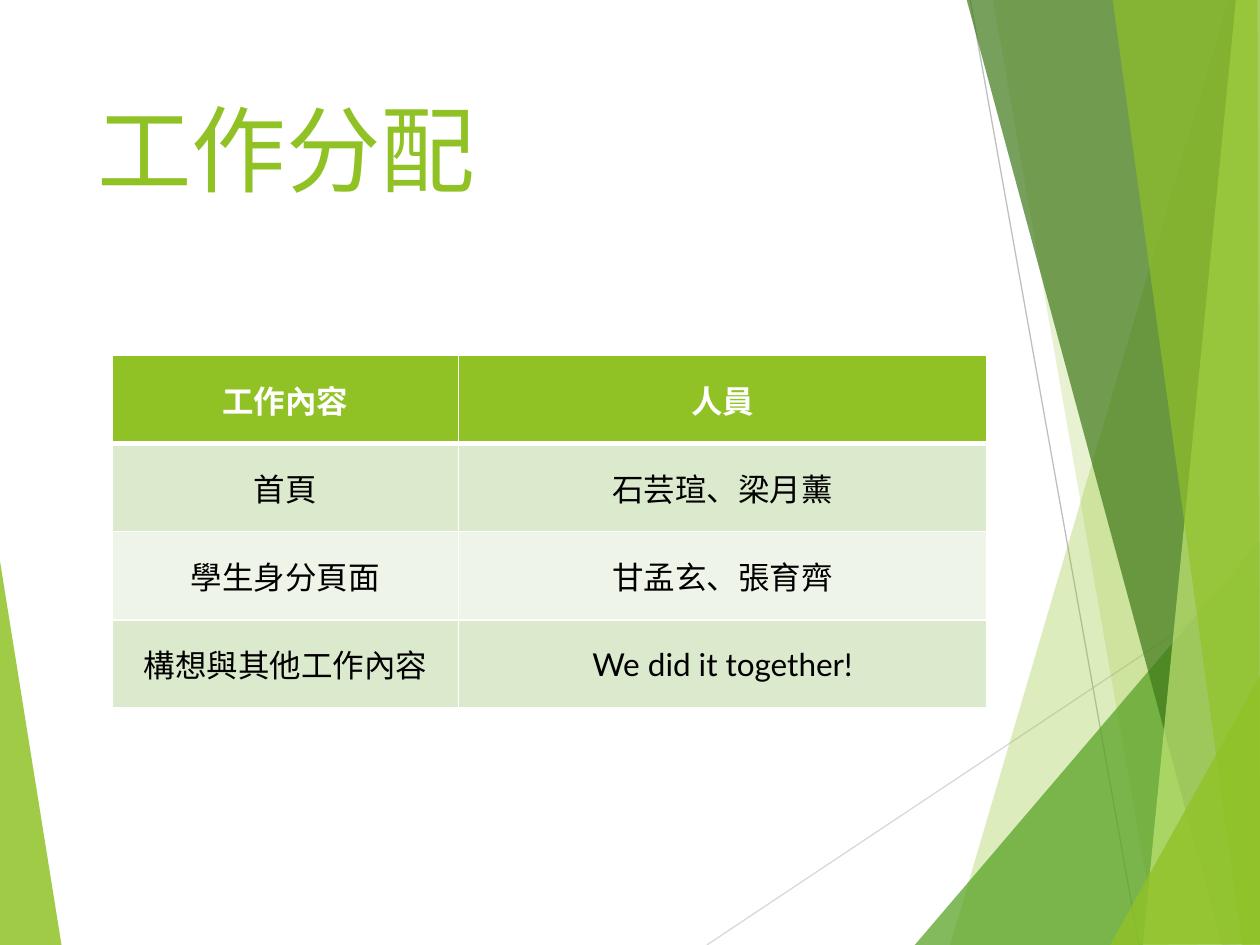
from dataclasses import dataclass

from lxml import etree
from pptx import Presentation
from pptx.dml.color import RGBColor
from pptx.enum import shapes, text
from pptx.oxml.ns import qn
from pptx.util import Inches, Pt

COLORS = {
    "green": "90C226", "leaf": "54A021", "forest": "3F7819", "lime": "C0E474",
    "band": "DBE9CD", "pale": "EEF4E8", "white": "FFFFFF", "black": "000000",
    "light_gray": "D9D9D9", "gray": "BFBFBF",
}
FONT = "Lato"


@dataclass
class Facet:
    color: str
    opacity: int  # percent
    points: list[tuple[float, float]]


@dataclass
class Ray:
    color: str
    start: tuple[float, float]
    end: tuple[float, float]


DECORATION = [
    Facet("green", 85, [(-0.01, 4.39), (0.49, 7.51), (-0.01, 7.5)]),
    Ray("light_gray", (5.61, 7.5), (10.01, 4.57)),
    Ray("gray", (7.7, 0), (9.04, 7.5)),
    Facet("green", 30, [(9.75, 0), (7.54, 7.5), (10.02, 7.51), (10.01, 0.01)]),
    Facet("green", 20, [(7.88, -0.01), (9.19, 7.5), (10.01, 7.5), (10.01, -0.01)]),
    Facet("leaf", 72, [(7.26, 7.5), (10, 4.29), (10.01, 7.5)]),
    Facet("forest", 70, [(7.67, -0.01), (9.7, 7.5), (10.01, 7.49), (10.01, -0.01)]),
    Facet("lime", 70, [(9.81, -0.01), (9.07, 7.5), (10.01, 7.5), (10, -0.01)]),
    Facet("green", 65, [(8.83, -0.01), (9.86, 7.5), (10, 7.5), (9.98, -0.01)]),
    Facet("green", 80, [(8.81, 7.5), (10.01, 5.35), (10.01, 7.49)]),
]
ROWS = [
    ("工作內容", "人員"),
    ("首頁", "石芸瑄、梁月薰"),
    ("學生身分頁面", "甘孟玄、張育齊"),
    ("構想與其他工作內容", "We did it together!"),
]
COL_WIDTHS = (2.75, 4.19)
ROW_HEIGHT = 0.7


def rgb(name: str) -> RGBColor:
    return RGBColor.from_string(COLORS[name])


def format_paragraph(p, size: int, color: str, bold: bool, align) -> None:
    p.alignment = align
    for name, value in {"name": FONT, "size": Pt(size), "bold": bold}.items():
        setattr(p.runs[0].font, name, value)
    p.runs[0].font.color.rgb = rgb(color)


def draw_facet(slide, facet: Facet) -> None:
    first, *rest = [(Inches(x), Inches(y)) for x, y in facet.points]
    builder = slide.shapes.build_freeform(*first)
    builder.add_line_segments(rest, close=True)
    sp = builder.convert_to_shape()
    sp.shadow.inherit = False
    sp.line.fill.background()
    sp.fill.solid()
    sp.fill.fore_color.rgb = rgb(facet.color)
    clr = sp.fill._xPr.find(qn("a:solidFill"))[0]
    etree.SubElement(clr, qn("a:alpha"), val=str(facet.opacity * 1000))


def draw_ray(slide, ray: Ray) -> None:
    ends = [Inches(v) for v in ray.start + ray.end]
    line = slide.shapes.add_connector(shapes.MSO_CONNECTOR.STRAIGHT, *ends)
    line.line.color.rgb = rgb(ray.color)
    line.line.width = Pt(0.75)
    etree.SubElement(line._element.spPr, qn("a:effectLst"))


def set_borders(cell, widths: dict[str, float]) -> None:
    tc_pr = cell._tc.get_or_add_tcPr()
    for side, width in widths.items():
        ln = etree.SubElement(tc_pr, qn(f"a:ln{side}"), w=str(Pt(width)))
        fill = etree.SubElement(ln, qn("a:solidFill"))
        etree.SubElement(fill, qn("a:srgbClr"), val=COLORS["white"])


def draw_table(slide, left: float, top: float) -> None:
    frame = slide.shapes.add_table(
        len(ROWS), len(COL_WIDTHS), Inches(left), Inches(top),
        Inches(sum(COL_WIDTHS)), Inches(ROW_HEIGHT * len(ROWS)))
    table = frame.table
    for column, width in zip(table.columns, COL_WIDTHS):
        column.width = Inches(width)
    for i, row in enumerate(ROWS):
        header = i == 0
        fill = "green" if header else ("band" if i % 2 else "pale")
        # The rule under the header is thicker than the others
        widths = {"L": 1, "R": 1, "T": 3 if i == 1 else 1, "B": 3 if header else 1}
        for j, label in enumerate(row):
            cell = table.cell(i, j)
            set_borders(cell, widths)
            cell.fill.solid()
            cell.fill.fore_color.rgb = rgb(fill)
            cell.vertical_anchor = text.MSO_ANCHOR.MIDDLE
            cell.text = label
            format_paragraph(cell.text_frame.paragraphs[0], 18,
                             "white" if header else "black", header,
                             text.PP_ALIGN.CENTER)


def draw_title(slide, label: str) -> None:
    title = slide.shapes.title
    box = {"left": 0.67, "top": 0.67, "width": 6.94, "height": 1.44}
    for name, value in box.items():
        setattr(title, name, Inches(value))
    tf = title.text_frame
    tf.text = label
    tf.vertical_anchor = text.MSO_ANCHOR.TOP
    tf.auto_size = text.MSO_AUTO_SIZE.NONE
    format_paragraph(tf.paragraphs[0], 54, "green", False, text.PP_ALIGN.LEFT)


def main() -> None:
    prs = Presentation()
    prs.slide_width, prs.slide_height = Inches(10), Inches(7.5)
    slide = prs.slides.add_slide(prs.slide_layouts[5])

    # Background facets and rays, back to front
    for part in DECORATION:
        if isinstance(part, Facet):
            draw_facet(slide, part)
        else:
            draw_ray(slide, part)

    # Content
    draw_title(slide, "工作分配")
    draw_table(slide, 0.89, 2.82)
    prs.save("out.pptx")


if __name__ == "__main__":
    main()
